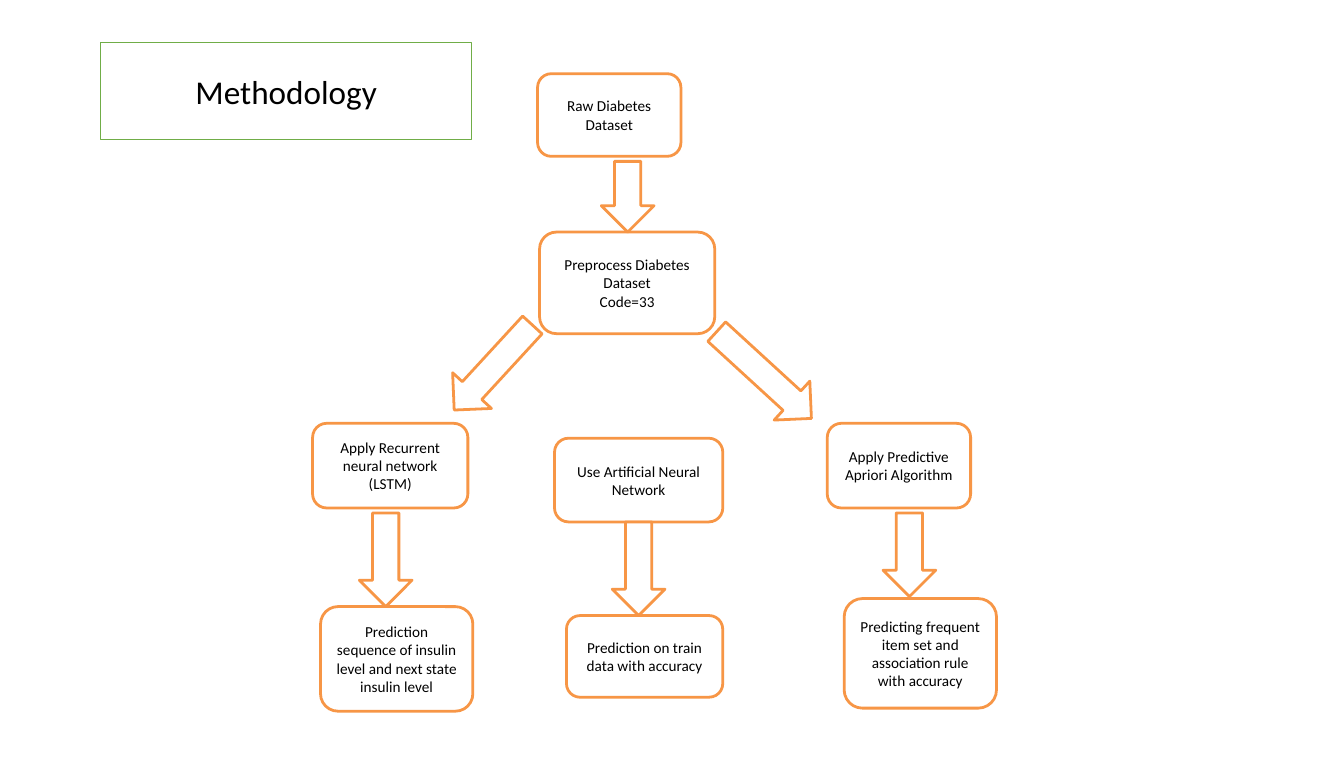
"""Build the Methodology flowchart slide."""
from dataclasses import dataclass

from pptx import Presentation
from pptx import util as u
from pptx.dml.color import RGBColor
from pptx.enum import shapes, text

PX = 9144
ORANGE, GREEN, WHITE, BLACK = "F79646", "70AD47", "FFFFFF", "000000"
KIND = shapes.MSO_SHAPE
ARROW_WIDTH = 53


@dataclass(frozen=True)
class Box:
    """A framed step with one line of wording per paragraph."""
    left: int
    top: int
    width: int
    height: int
    wording: str
    kind: KIND = KIND.ROUNDED_RECTANGLE
    outline: str = ORANGE
    line_pt: int = 2
    font_pt: int = 11


@dataclass(frozen=True)
class Arrow:
    """A block arrow pointing down before it is turned."""
    left: int
    top: int
    height: int
    angle: float = 0


STEPS = [
    Box(540, 74, 144, 83, "Raw Diabetes\nDataset"),
    Box(542, 233, 176, 102, "Preprocess Diabetes Dataset\nCode=33"),
    Box(557, 440, 169, 84, "Use Artificial Neural Network"),
    Box(831, 425, 144, 85, "Apply Predictive Apriori Algorithm"),
    Box(314, 425, 156, 85, "Apply Recurrent neural network (LSTM)"),
    Box(322, 609, 153, 105,
        "Prediction sequence of insulin level and next state insulin level"),
    Box(569, 618, 157, 82, "Prediction on train data with accuracy"),
    Box(848, 601, 153, 110,
        "Predicting frequent item set and association rule with accuracy"),
]
FLOWS = [
    Arrow(604, 162, 71),
    Arrow(469, 311, 116, 42.6),
    Arrow(741, 312, 129, 312.5),
    Arrow(361, 515, 94),
    Arrow(615, 524, 94),
    Arrow(887, 515, 84),
]
HEADING = Box(101, 43, 373, 97, "Methodology", KIND.RECTANGLE, GREEN, 1, 24)


def color(code: str) -> RGBColor:
    """Turn a hex string into a colour."""
    return RGBColor.from_string(code)


def add_outlined(slide, kind: KIND, area: tuple[int, int, int, int],
                 outline: str, line_pt: int):
    """Add a white preset shape with a coloured outline."""
    shape = slide.shapes.add_shape(kind, *(PX * length for length in area))
    shape.shadow.inherit = False
    shape.fill.solid()
    shape.fill.fore_color.rgb = color(WHITE)
    shape.line.color.rgb = color(outline)
    shape.line.width = u.Pt(line_pt)
    return shape


def draw_box(slide, box: Box) -> None:
    """Draw a box with centred wording."""
    area = (box.left, box.top, box.width, box.height)
    frame = add_outlined(slide, box.kind, area, box.outline, box.line_pt).text_frame
    frame.word_wrap = True
    frame.vertical_anchor = text.MSO_ANCHOR.MIDDLE
    frame.text = box.wording
    for paragraph in frame.paragraphs:
        paragraph.alignment = text.PP_ALIGN.CENTER
        paragraph.font.name = "Calibri"
        paragraph.font.size = u.Pt(box.font_pt)
        paragraph.font.color.rgb = color(BLACK)


def draw_arrow(slide, arrow: Arrow) -> None:
    """Draw a block arrow turned by its angle."""
    area = (arrow.left, arrow.top, ARROW_WIDTH, arrow.height)
    shape = add_outlined(slide, KIND.DOWN_ARROW, area, ORANGE, 2)
    shape.rotation = arrow.angle


def main() -> None:
    """Build and save the slide."""
    deck = Presentation()
    deck.slide_width, deck.slide_height = 1350 * PX, 760 * PX
    slide = deck.slides.add_slide(deck.slide_layouts[6])
    for step in STEPS:
        draw_box(slide, step)
    for flow in FLOWS:
        draw_arrow(slide, flow)
    draw_box(slide, HEADING)
    deck.save("out.pptx")


if __name__ == "__main__":
    main()
